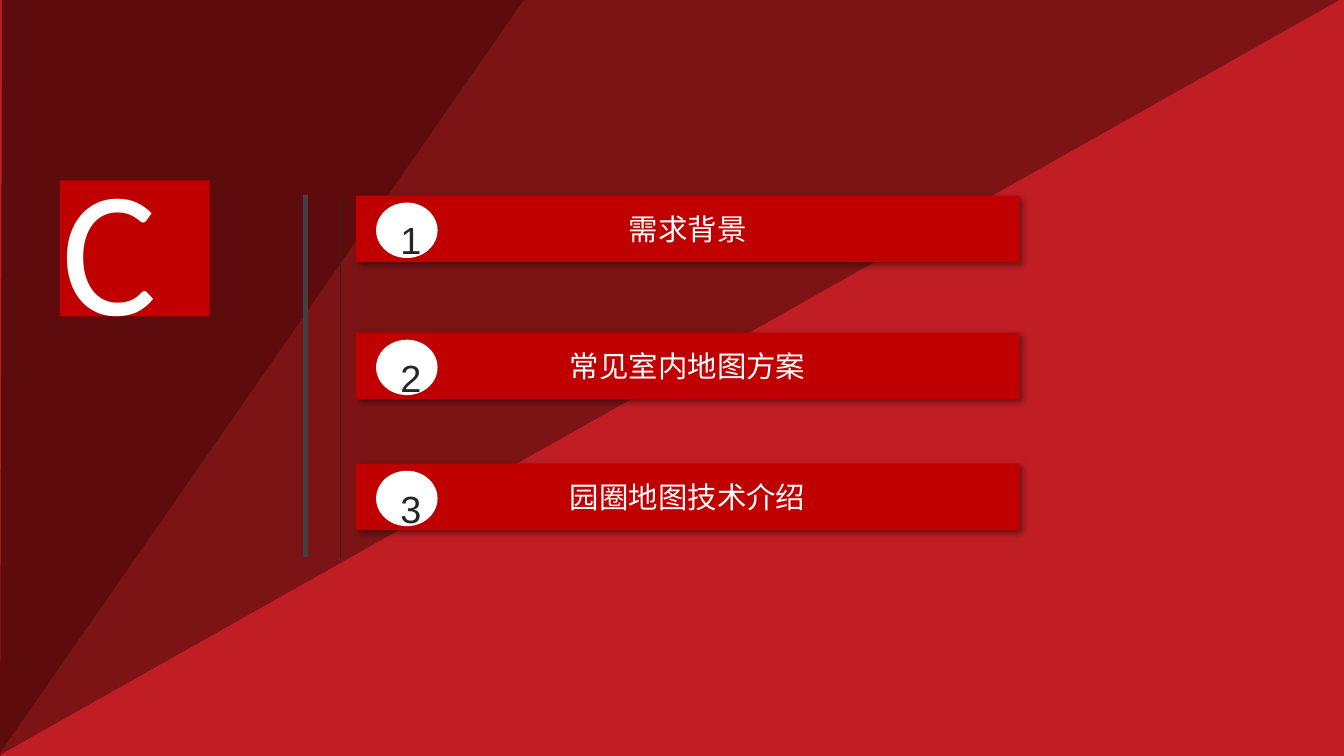
from dataclasses import dataclass

from lxml import etree
from pptx import Presentation
from pptx.dml.color import RGBColor
from pptx.enum.shapes import MSO_CONNECTOR, MSO_SHAPE
from pptx.enum.text import MSO_ANCHOR, MSO_AUTO_SIZE, PP_ALIGN
from pptx.oxml import parse_xml
from pptx.oxml.ns import nsdecls, qn
from pptx.util import Inches, Pt

RECT = MSO_SHAPE.RECTANGLE
OVAL = MSO_SHAPE.OVAL
STRAIGHT = MSO_CONNECTOR.STRAIGHT
CENTER = PP_ALIGN.CENTER
MIDDLE = MSO_ANCHOR.MIDDLE
GROW = MSO_AUTO_SIZE.SHAPE_TO_FIT_TEXT


@dataclass(frozen=True)
class Theme:
    """Colours, fonts and type sizes of the slide."""
    backdrop: str = "C01E24"
    dark: str = "5D0B0D"
    maroon: str = "7C1415"
    bar: str = "C00000"
    white: str = "FFFFFF"
    ink: str = "262626"
    rule: str = "404040"
    font: str = "Arial"
    letter_font: str = "Calibri"
    letter_size: int = 128
    title_size: int = 21
    number_size: int = 27


THEME = Theme()
WIDTH, HEIGHT = 13.33, 7.5
BAR_WIDTH, BAR_HEIGHT = 6.58, 0.66
ENTRIES = [(1.94, "需求背景"), (3.3, "常见室内地图方案"), (4.6, "园圈地图技术介绍")]


def paint(sp, color):
    """Give a shape a plain fill without outline or shadow."""
    sp.shadow.inherit = False
    sp.fill.solid()
    sp.fill.fore_color.rgb = RGBColor.from_string(color)
    sp.line.fill.background()


def add_block(slide, kind, box, color):
    """Add a filled preset shape in the given box."""
    sp = slide.shapes.add_shape(kind, *map(Inches, box))
    paint(sp, color)
    return sp


def add_polygon(slide, points, color):
    """Add a filled polygon through the given points."""
    start, *rest = [(Inches(x), Inches(y)) for x, y in points]
    builder = slide.shapes.build_freeform(*start)
    builder.add_line_segments(rest, close=True)
    paint(builder.convert_to_shape(), color)


def add_run(p, text, font, size, color):
    """Add one formatted run to a paragraph."""
    r = p.add_run()
    r.text = text
    r.font.name = font
    r.font.size = Pt(size)
    r.font.color.rgb = RGBColor.from_string(color)


def add_text_box(slide, box, wrap):
    """Add a growing text box and return its first paragraph."""
    tf = slide.shapes.add_textbox(*map(Inches, box)).text_frame
    tf.word_wrap = wrap
    tf.auto_size = GROW
    return tf.paragraphs[0]


def add_shadow(sp):
    """Cast a soft shadow to the lower right of a shape."""
    effects = sp._element.spPr.find(qn("a:effectLst"))
    effects.append(parse_xml(
        f'<a:outerShdw {nsdecls("a")} blurRad="{Pt(4)}" dist="{Pt(3)}" '
        'dir="2700000" algn="tl" rotWithShape="0"><a:srgbClr val="000000">'
        '<a:alpha val="40000"/></a:srgbClr></a:outerShdw>'))


def add_backdrop(slide, width, height):
    """Cover the slide with red and two darker diagonal facets."""
    add_block(slide, RECT, (0, 0, width, height), THEME.backdrop)
    add_polygon(slide, [(0, height), (5.21, 0), (0.02, -0.01)], THEME.dark)
    add_polygon(slide, [(-0.02, height), (5.21, -0.02), (width - 0.01, -0.02)],
                THEME.maroon)


def add_letter(slide, x, y, width, height):
    """Set the large initial on its red tile."""
    add_block(slide, RECT, (x, y, width, height), THEME.bar)
    p = add_text_box(slide, (x - 0.08, y - 0.49, 1.16, 2.26), False)
    add_run(p, "C", THEME.letter_font, THEME.letter_size, THEME.white)


def add_entry(slide, x, y, width, height, number, title):
    """Add one agenda bar with its numbered disc."""
    sp = add_block(slide, RECT, (x, y, width, height), THEME.bar)
    add_shadow(sp)
    tf = sp.text_frame
    tf.word_wrap = True
    tf.vertical_anchor = MIDDLE
    tf.margin_left = tf.margin_right = tf.margin_top = tf.margin_bottom = 0
    p = tf.paragraphs[0]
    p.alignment = CENTER
    add_run(p, title, THEME.font, THEME.title_size, THEME.white)
    add_block(slide, OVAL, (x + 0.2, y + 0.07, 0.61, 0.55), THEME.white)
    p = add_text_box(slide, (x + 0.06, y - 0.06, 0.97, 0.78), True)
    p.alignment = CENTER
    p.line_spacing = 1.5
    add_run(p, str(number), THEME.font, THEME.number_size, THEME.ink)


def add_rule(slide, x, y, length, color, weight):
    """Draw a vertical rule."""
    line = slide.shapes.add_connector(
        STRAIGHT, Inches(x), Inches(y), Inches(x), Inches(y + length))
    line.line.color.rgb = RGBColor.from_string(color)
    line.line.width = Pt(weight)
    etree.SubElement(line._element.spPr, qn("a:effectLst"))


def build_agenda(slide, width, height):
    """Lay out the agenda slide."""
    add_backdrop(slide, width, height)
    add_letter(slide, 0.59, 1.79, 1.49, 1.35)
    for number, (y, title) in enumerate(ENTRIES, 1):
        add_entry(slide, 3.53, y, BAR_WIDTH, BAR_HEIGHT, number, title)
    add_rule(slide, 3.03, 1.93, 3.6, THEME.rule, 3)
    add_rule(slide, 3.37, 1.95, 3.59, THEME.ink, 0.25)


def main():
    """Build and save the presentation."""
    prs = Presentation()
    prs.slide_width, prs.slide_height = Inches(WIDTH), Inches(HEIGHT)
    build_agenda(prs.slides.add_slide(prs.slide_layouts[6]), WIDTH, HEIGHT)
    prs.save("out.pptx")


if __name__ == "__main__":
    main()
